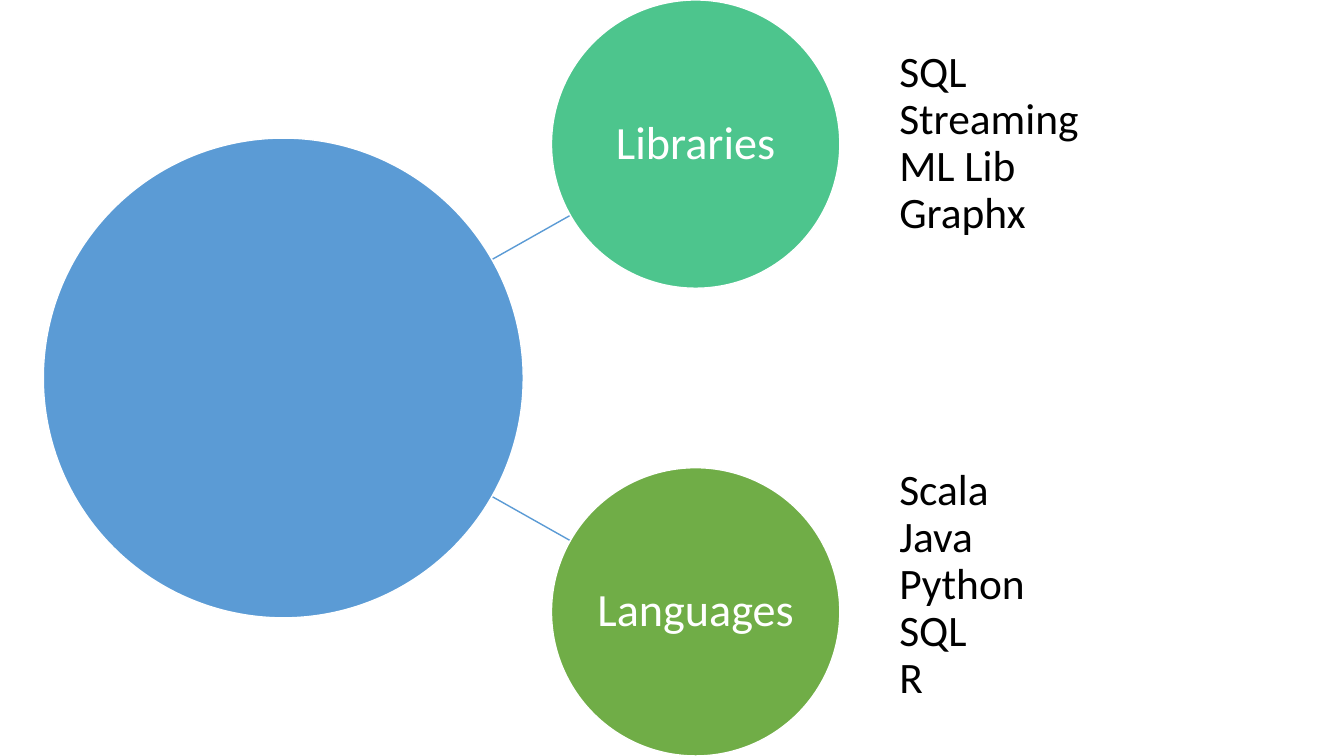
"""Build a radial slide: one hub linked to two topics with their lists."""
from dataclasses import dataclass

from lxml import etree
from pptx import Presentation
from pptx.dml.color import RGBColor
from pptx.enum.shapes import MSO_CONNECTOR, MSO_SHAPE
from pptx.enum.text import MSO_ANCHOR, MSO_AUTO_SIZE, PP_ALIGN
from pptx.oxml.ns import qn
from pptx.shapes.autoshape import Shape
from pptx.shapes.placeholder import SlidePlaceholder
from pptx.slide import Slide
from pptx.text.text import TextFrame
from pptx.util import Inches, Pt

ELLIPSE = MSO_SHAPE.OVAL
STRAIGHT = MSO_CONNECTOR.STRAIGHT
MIDDLE = MSO_ANCHOR.MIDDLE
NO_FIT = MSO_AUTO_SIZE.NONE
CENTER = PP_ALIGN.CENTER
LEFT = PP_ALIGN.LEFT


@dataclass(frozen=True)
class Theme:
    """Colours, type and line settings of the slide."""

    font: str = "Calibri"
    label_size: int = 33
    list_size: int = 31
    line_spacing: float = 0.9
    line_width: int = 1
    hub: str = "5B9BD5"
    white: str = "FFFFFF"
    black: str = "000000"


@dataclass(frozen=True)
class Topic:
    """A satellite circle, its spoke and its list, in inches."""

    label: str
    color: str
    top: float
    spoke_start: float
    spoke_end: float
    list_top: float
    items: tuple[str, ...]


THEME = Theme()
SLIDE_WIDTH, SLIDE_HEIGHT = 13.33, 7.5
HUB_LEFT, HUB_TOP, HUB_SIZE = 0.43, 1.37, 4.76
TOPIC_LEFT, TOPIC_SIZE = 5.47, 2.86
SPOKE_LEFT, SPOKE_RIGHT = 4.48, 5.65
LIST_LEFT, LIST_WIDTH, LIST_INDENT = 8.61, 4.29, 0.31
LABEL_INSET = 0.02

TOPICS = (
    Topic("Libraries", "4DC58D", 0, 2.8, 2.14, 0,
          ("SQL", "Streaming", "ML Lib", "Graphx")),
    Topic("Languages", "70AD47", 4.64, 4.7, 5.36, 4.38,
          ("Scala", "Java", "Python", "SQL", "R")),
)


def format_text(frame: TextFrame, size: int, color: str,
                alignment: PP_ALIGN, inset: float) -> None:
    """Set the insets, anchor, spacing and type of a text frame."""
    frame.word_wrap = True
    frame.auto_size = NO_FIT
    frame.vertical_anchor = MIDDLE
    frame.margin_left = frame.margin_right = Inches(inset)
    frame.margin_top = frame.margin_bottom = Inches(inset)
    for para in frame.paragraphs:
        para.alignment = alignment
        para.line_spacing = THEME.line_spacing
        para.space_before = para.space_after = Pt(0)
        for span in para.runs:
            span.font.name = THEME.font
            span.font.size = Pt(size)
            span.font.color.rgb = RGBColor.from_string(color)


def add_circle(page: Slide, left: float, top: float, size: float,
               color: str) -> Shape:
    """Draw a filled circle with a white outline."""
    circle = page.shapes.add_shape(
        ELLIPSE, Inches(left), Inches(top), Inches(size), Inches(size))
    circle.shadow.inherit = False
    circle.fill.solid()
    circle.fill.fore_color.rgb = RGBColor.from_string(color)
    circle.line.color.rgb = RGBColor.from_string(THEME.white)
    circle.line.width = Pt(THEME.line_width)
    return circle


def add_spoke(page: Slide, topic: Topic) -> None:
    """Draw the line that leads from the hub to a topic."""
    spoke = page.shapes.add_connector(
        STRAIGHT, Inches(SPOKE_LEFT), Inches(topic.spoke_start),
        Inches(SPOKE_RIGHT), Inches(topic.spoke_end))
    spoke.line.color.rgb = RGBColor.from_string(THEME.hub)
    spoke.line.width = Pt(THEME.line_width)
    etree.SubElement(spoke.element.spPr, qn("a:effectLst"))


def add_topic(page: Slide, topic: Topic) -> None:
    """Draw a labelled topic circle."""
    circle = add_circle(page, TOPIC_LEFT, topic.top, TOPIC_SIZE, topic.color)
    circle.text_frame.text = topic.label
    format_text(circle.text_frame, THEME.label_size, THEME.white, CENTER,
                LABEL_INSET)


def fill_list(box: SlidePlaceholder, topic: Topic) -> None:
    """Place a body placeholder and fill it with the items of a topic."""
    box.left, box.top = Inches(LIST_LEFT), Inches(topic.list_top)
    box.width, box.height = Inches(LIST_WIDTH), Inches(TOPIC_SIZE)
    box.text_frame.text = "\n".join(topic.items)
    for para in box.text_frame.paragraphs:
        properties = para._p.get_or_add_pPr()
        properties.set("marL", str(Inches(LIST_INDENT)))
        properties.set("indent", "0")
        etree.SubElement(properties, qn("a:buNone"))
    format_text(box.text_frame, THEME.list_size, THEME.black, LEFT, 0)


def main() -> None:
    """Build and save the deck."""
    deck = Presentation()
    deck.slide_width, deck.slide_height = Inches(SLIDE_WIDTH), Inches(SLIDE_HEIGHT)
    page = deck.slides.add_slide(deck.slide_layouts.get_by_name("Two Content"))
    title, *boxes = page.placeholders
    title.element.getparent().remove(title.element)
    for topic in TOPICS:
        add_spoke(page, topic)
    add_circle(page, HUB_LEFT, HUB_TOP, HUB_SIZE, THEME.hub)
    for topic, box in zip(TOPICS, boxes):
        add_topic(page, topic)
        fill_list(box, topic)
    deck.save("out.pptx")


if __name__ == "__main__":
    main()
